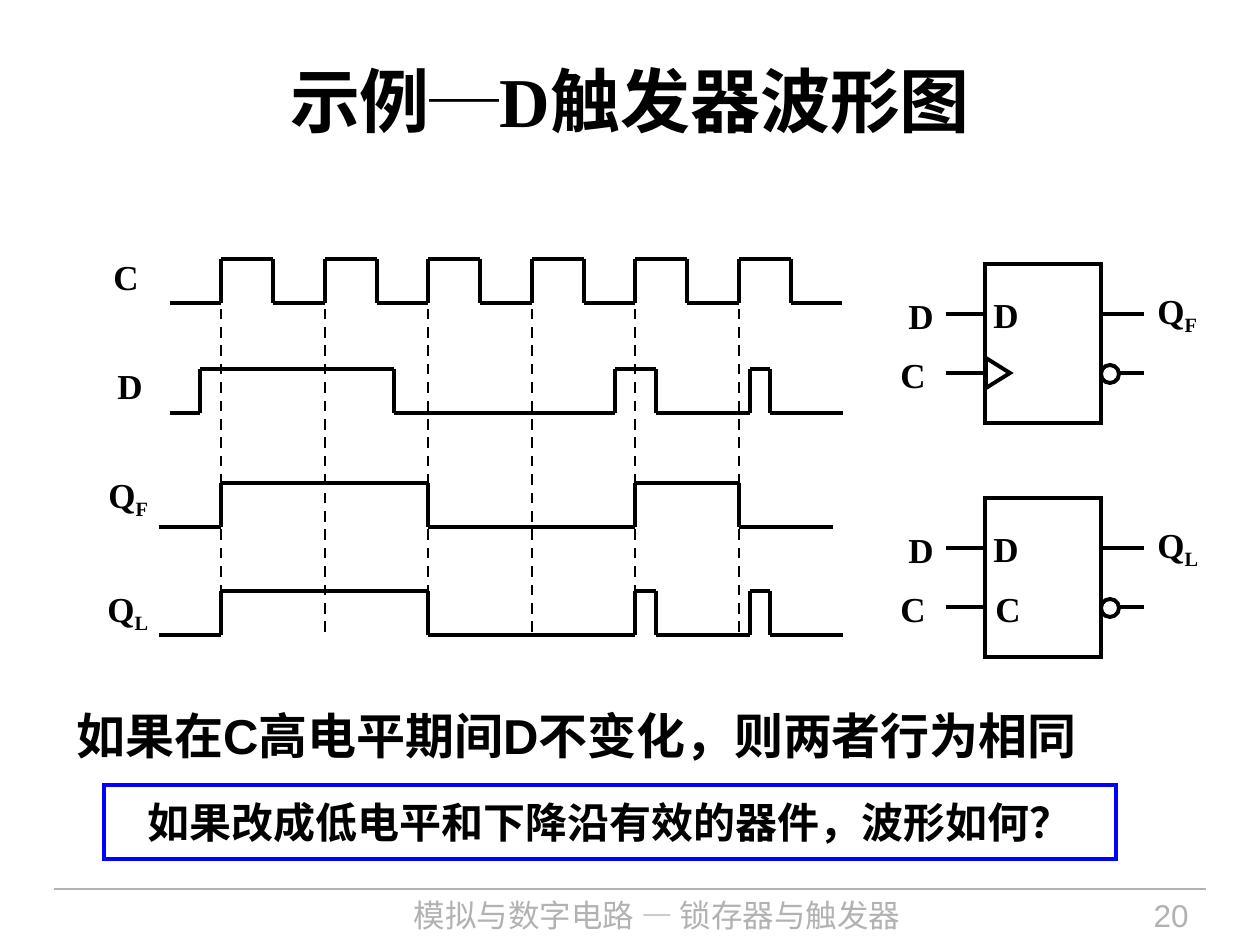
import itertools

import pptx
import pptx.dml.color
import pptx.enum.dml
import pptx.enum.shapes
import pptx.enum.text
import pptx.oxml.ns
import pptx.util
from lxml import etree

PX = 914400 // 126
COLORS = {"ink": "000000", "grey": "B2B2B2", "blue": "0000FF", "white": "FFFFFF"}
SERIF, SANS, CJK = "Times New Roman", "Arial", "Noto Sans CJK SC"
ALIGN = pptx.enum.text.PP_ALIGN
SHAPE = pptx.enum.shapes.MSO_SHAPE

# Text: words, box, size, font, colour, bold, alignment, wrap
TEXTS = [
    ("示例─D触发器波形图", (63, 21, 1134, 158), 40, SERIF, "ink", True, ALIGN.CENTER, True),
    ("如果在C高电平期间D不变化，则两者行为相同", (64, 699, 1074, 72), 28, SANS, "ink", True, ALIGN.LEFT, False),
    ("模拟与数字电路 — 锁存器与触发器", (302, 890, 710, 55), 18, CJK, "grey", False, ALIGN.CENTER, True),
    ("20", (1033, 890, 168, 55), 18, SANS, "grey", False, ALIGN.RIGHT, True),
]
QUESTION = "如果改成低电平和下降沿有效的器件，波形如何？"

# Clock grid: left end, length of two periods, number of half periods
CLOCK_LEFT, TWO_PERIODS, HALVES = 170, 207, 13
CLOCK = [CLOCK_LEFT + TWO_PERIODS * i // 4 for i in range(HALVES + 1)]
SWING = 44

# Waveforms: letter, subscript, label corner, low level, start + level changes + end
WAVES = [
    ("C", "", (101, 249), 303, CLOCK),
    ("D", "", (105, 358), 413, [170, 200, 394, 615, 656, 750, 770, 843]),
    ("Q", "F", (96, 467), 527, [159, 221, 428, 635, 739, 833]),
    ("Q", "L", (95, 581), 635, [159, 221, 428, 635, 656, 750, 770, 843]),
]

# Symbols: top, output subscript, edge triggered
SYMBOLS = [(264, "F", True), (498, "L", False)]
BOX_LEFT, BOX_W, BOX_H = 985, 116, 159
D_DOWN, C_DOWN = 50, 109
WIRE_LEFT, WIRE_RIGHT = 946, 1144
BUBBLE = 18

prs = pptx.Presentation()
prs.slide_width, prs.slide_height = 1260 * PX, 945 * PX
slide = prs.slides.add_slide(prs.slide_layouts[6])


def rgb(name):
    return pptx.dml.color.RGBColor.from_string(COLORS[name])


def add_line(x1, y1, x2, y2, width=2.25, color="ink", dashed=False):
    ends = [v * PX for v in (x1, y1, x2, y2)]
    ln = slide.shapes.add_connector(pptx.enum.shapes.MSO_CONNECTOR.STRAIGHT, *ends)
    ln.line.width = pptx.util.Pt(width)
    ln.line.color.rgb = rgb(color)
    if dashed:
        ln.line.dash_style = pptx.enum.dml.MSO_LINE.DASH
    etree.SubElement(ln._element.spPr, pptx.oxml.ns.qn("a:effectLst"))


def add_outline(kind, box, color="ink", fill=None):
    sp = slide.shapes.add_shape(kind, *[v * PX for v in box])
    sp.shadow.inherit = False
    if fill:
        sp.fill.solid()
        sp.fill.fore_color.rgb = rgb(fill)
    else:
        sp.fill.background()
    sp.line.color.rgb = rgb(color)
    sp.line.width = pptx.util.Pt(2.25)
    # Sharp corners
    ln = sp._element.spPr.find(pptx.oxml.ns.qn("a:ln"))
    etree.SubElement(ln, pptx.oxml.ns.qn("a:miter")).set("lim", "800000")
    return sp


def write(sp, text, size, font, color="ink", bold=True, align=ALIGN.LEFT, wrap=False):
    tf = sp.text_frame
    tf.word_wrap = wrap
    p = tf.paragraphs[0]
    p.alignment = align
    p.add_run().text = text
    f = p.font
    f.size, f.bold, f.name = pptx.util.Pt(size), bold, font
    f.color.rgb = rgb(color)
    ea = etree.SubElement(f._element, pptx.oxml.ns.qn("a:ea"))
    ea.set("typeface", CJK)
    return p


def add_text(text, box, *style):
    sp = slide.shapes.add_textbox(*[v * PX for v in box])
    p = write(sp, text, *style)
    if not sp.text_frame.word_wrap:
        sp.text_frame.auto_size = pptx.enum.text.MSO_AUTO_SIZE.SHAPE_TO_FIT_TEXT
    return sp, p


def add_label(letter, x, y, sub=""):
    box = (x, y, 67, 60) if sub else (x, y, 50, 55)
    p = add_text(letter, box, 20, SERIF)[1]
    if sub:
        r = p.add_run()
        r.text = sub
        r.font._element.set("baseline", "-25000")


# Footer rule, title, statement and footer
add_line(54, 889, 1206, 889, 0.75, "grey")
for text, box, *style in TEXTS:
    sp, p = add_text(text, box, *style)
    if text == TEXTS[0][0]:
        sp.text_frame.vertical_anchor = pptx.enum.text.MSO_ANCHOR.MIDDLE

# Dashed guides at the rising clock edges
for x in CLOCK[1:-1:2]:
    add_line(x, 632, x, 265, 1.5, dashed=True)

# Waveforms, each starting low and changing level at every inner x
for letter, sub, corner, low, xs in WAVES:
    points = []
    for i, (x1, x2) in enumerate(itertools.pairwise(xs)):
        y = low - SWING * (i % 2)
        points += [(x1, y), (x2, y)]
    for start, end in itertools.pairwise(points):
        add_line(*start, *end)
    add_label(letter, *corner, sub)

# Flip-flop and latch symbols
for top, sub, edge in SYMBOLS:
    right = BOX_LEFT + BOX_W
    add_outline(SHAPE.RECTANGLE, (BOX_LEFT, top, BOX_W, BOX_H))
    for down in (D_DOWN, C_DOWN):
        add_line(WIRE_LEFT, top + down, BOX_LEFT, top + down)
        add_line(right, top + down, WIRE_RIGHT, top + down)
    add_outline(SHAPE.OVAL, (right, top + C_DOWN - BUBBLE // 2 + 1, BUBBLE, BUBBLE), fill="white")
    add_label("D", 896, top + 24)
    add_label("D", 981, top + 23)
    add_label("C", 888, top + 83)
    add_label("Q", 1145, top + 19, sub)
    if edge:
        sp = add_outline(SHAPE.FLOWCHART_EXTRACT, (983, top + C_DOWN - 12, 30, 24))
        sp.rotation = 90
    else:
        add_label("C", 983, top + 83)

# Framed question
sp = add_outline(SHAPE.RECTANGLE, (104, 785, 1012, 74), "blue")
write(sp, QUESTION, 24, SANS, align=ALIGN.CENTER)

prs.save("out.pptx")
